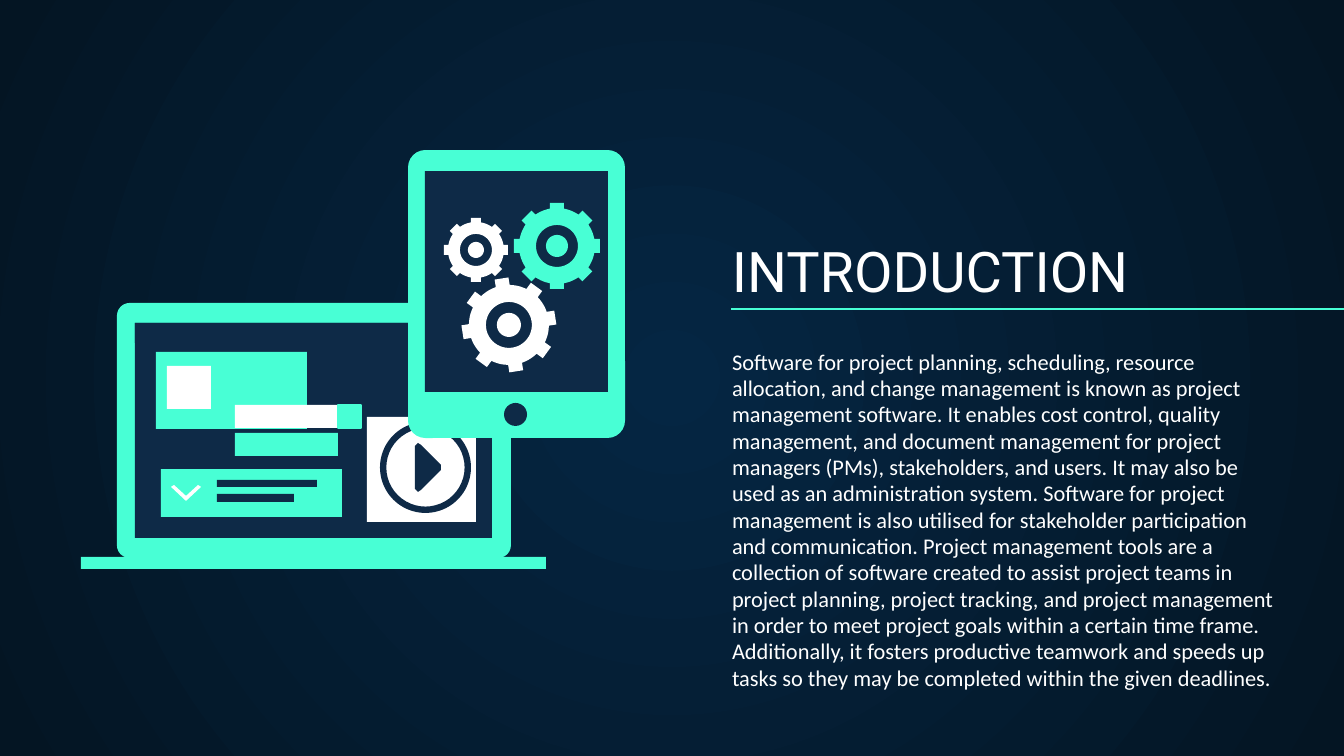
from math import asin, cos, pi, radians, sin, sqrt

from lxml.etree import SubElement
from pptx import Presentation
from pptx.dml.color import RGBColor
from pptx.enum.shapes import MSO_CONNECTOR, MSO_SHAPE
from pptx.enum.text import MSO_ANCHOR
from pptx.oxml.ns import qn
from pptx.util import Emu, Pt

SCALE = 914400 / 134.4
COLORS = {"mint": "48FFD5", "navy": "0E2A47", "white": "FFFFFF",
          "core": "052643", "edge": "041523"}
BODY = (
    "Software for project planning, scheduling, resource allocation, and change "
    "management is known as project management software. It enables cost control, "
    "quality management, and document management for project managers (PMs), "
    "stakeholders, and users. It may also be used as an administration system. "
    "Software for project management is also utilised for stakeholder participation "
    "and communication. Project management tools are a collection of software created "
    "to assist project teams in project planning, project tracking, and project "
    "management in order to meet project goals within a certain time frame. "
    "Additionally, it fosters productive teamwork and speeds up tasks so they may be "
    "completed within the given deadlines."
)


def px(num):
    return Emu(round(num * SCALE))


def tint(name):
    return RGBColor.from_string(COLORS[name])


def assign(item, values):
    for key, value in values.items():
        setattr(item, key, value)


def ring(x, y, size):
    return [(x + size * cos(step * pi / 24), y + size * sin(step * pi / 24))
            for step in range(48)]


def cog(x, y, tip, body, half, tilt):
    edge = asin(half / body)
    foot = sqrt(body ** 2 - half ** 2)
    gap = pi / 4 - 2 * edge
    tooth = [(-half, foot), (-half, tip), (half, tip), (half, foot)]
    tooth += [(body * sin(edge + gap * step / 5), body * cos(edge + gap * step / 5))
              for step in range(1, 5)]
    spots = []
    for turn in range(8):
        angle = turn * pi / 4 + radians(tilt)
        spots += [(x + side * cos(angle) + up * sin(angle),
                   y + side * sin(angle) - up * cos(angle)) for side, up in tooth]
    return spots


class Deck:
    def __init__(self):
        self.file = Presentation()
        assign(self.file, {"slide_width": px(1344), "slide_height": px(756)})
        self.slide = self.file.slides.add_slide(self.file.slide_layouts[6])
        self.shapes = self.slide.shapes

    def back(self, inner, outer):
        fill = self.slide.background.fill
        fill.gradient()
        for stop, name in zip(fill.gradient_stops, (inner, outer)):
            stop.color.rgb = tint(name)
        grad = self.slide.element.find(".//" + qn("a:gradFill"))
        grad.remove(grad.find(qn("a:lin")))
        path = SubElement(grad, qn("a:path"), path="circle")
        SubElement(path, qn("a:fillToRect"), dict.fromkeys("ltrb", "50000"))

    def paint(self, shape, color, edge=None):
        shape.shadow.inherit = False
        shape.fill.solid()
        shape.fill.fore_color.rgb = tint(color)
        if edge:
            shape.line.color.rgb = tint(edge)
            shape.line.width = Pt(0.75)
        else:
            shape.line.fill.background()

    def shape(self, kind, box, color, edge=None, bend=None):
        item = self.shapes.add_shape(kind, *map(px, box))
        if bend is not None:
            item.adjustments[0] = bend
        self.paint(item, color, edge)

    def block(self, box, color, edge=None):
        self.shape(MSO_SHAPE.RECTANGLE, box, color, edge)

    def outline(self, loops, color):
        loops = [[(px(x), px(y)) for x, y in loop] for loop in loops]
        pen = self.shapes.build_freeform(*loops[0][0], scale=1.0)
        for turn, loop in enumerate(loops):
            if turn:
                pen.move_to(*loop[0])
            pen.add_line_segments(loop[1:], close=True)
        self.paint(pen.convert_to_shape(), color)

    def gear(self, x, y, tip, body, half, hole, hub, tilt, color):
        self.outline([cog(x, y, tip, body, half, tilt),
                      ring(x, y, hole), ring(x, y, hub)], color)

    def rule(self, start, end, color):
        line = self.shapes.add_connector(MSO_CONNECTOR.STRAIGHT, *map(px, start + end))
        line.line.color.rgb = tint(color)
        line.line.width = Pt(0.75)
        SubElement(line.element.spPr, qn("a:effectLst"))

    def text(self, box, words, font, frame, para):
        area = self.shapes.add_textbox(*map(px, box)).text_frame
        pads = {"margin_" + side: px(13) for side in ("left", "top", "right", "bottom")}
        assign(area, {"word_wrap": True, **pads, **frame})
        first = area.paragraphs[0]
        assign(first, para)
        run = first.add_run()
        run.text = words
        assign(run.font, font)
        run.font.color.rgb = tint("white")

    def save(self):
        self.file.save("out.pptx")


def main():
    deck = Deck()
    deck.back("core", "edge")
    deck.text((719, 228, 519, 89), "INTRODUCTION", {"name": "Roboto", "size": Pt(30)},
              {"vertical_anchor": MSO_ANCHOR.BOTTOM}, {})
    deck.text((719, 336, 571, 372), BODY, {"name": "Calibri", "size": Pt(12)},
              {"vertical_anchor": MSO_ANCHOR.TOP},
              {"space_after": Pt(16), "line_spacing": 0.98})
    deck.rule((731, 309), (1384, 309), "mint")

    deck.shape(MSO_SHAPE.ROUNDED_RECTANGLE, (117, 303, 394, 255), "mint", bend=0.05)
    for box, color in (
        ((135, 323, 357, 215), "navy"),
        ((81, 557, 465, 12), "mint"),
        ((135, 323, 357, 20), "navy"),
        ((156, 352, 151, 77), "mint"),
        ((167, 366, 44, 43), "white"),
        ((208, 469, 134, 48), "mint"),
        ((217, 480, 100, 7), "navy"),
        ((217, 494, 77, 8), "navy"),
        ((161, 469, 47, 48), "mint"),
    ):
        deck.block(box, color)
    deck.outline([[(171, 487), (174, 485), (186, 496), (198, 485), (201, 487),
                   (186, 501)]], "white")
    deck.block((235, 433, 103, 23), "mint")
    deck.block((235, 405, 103, 23), "white")
    deck.block((338, 405, 23, 23), "mint", "mint")
    deck.block((367, 417, 109, 105), "white")
    deck.shape(MSO_SHAPE.DONUT, (380, 422, 91, 91), "navy", bend=0.07)
    deck.outline([[(415, 446), (418, 443), (421, 445), (441, 465), (441, 470),
                   (421, 490), (418, 492), (415, 489)]], "navy")

    deck.shape(MSO_SHAPE.ROUNDED_RECTANGLE, (408, 150, 217, 288), "mint", bend=0.08)
    deck.block((425, 171, 183, 221), "navy")
    deck.shape(MSO_SHAPE.OVAL, (504, 403, 23, 23), "navy")
    deck.gear(557, 246, 43, 38, 7, 21, 11, 0, "mint")
    deck.gear(476, 250, 32, 28, 5, 16, 8, 0, "white")
    deck.gear(509, 325, 47, 40, 7, 23, 12, -9, "white")
    deck.save()


if __name__ == "__main__":
    main()
